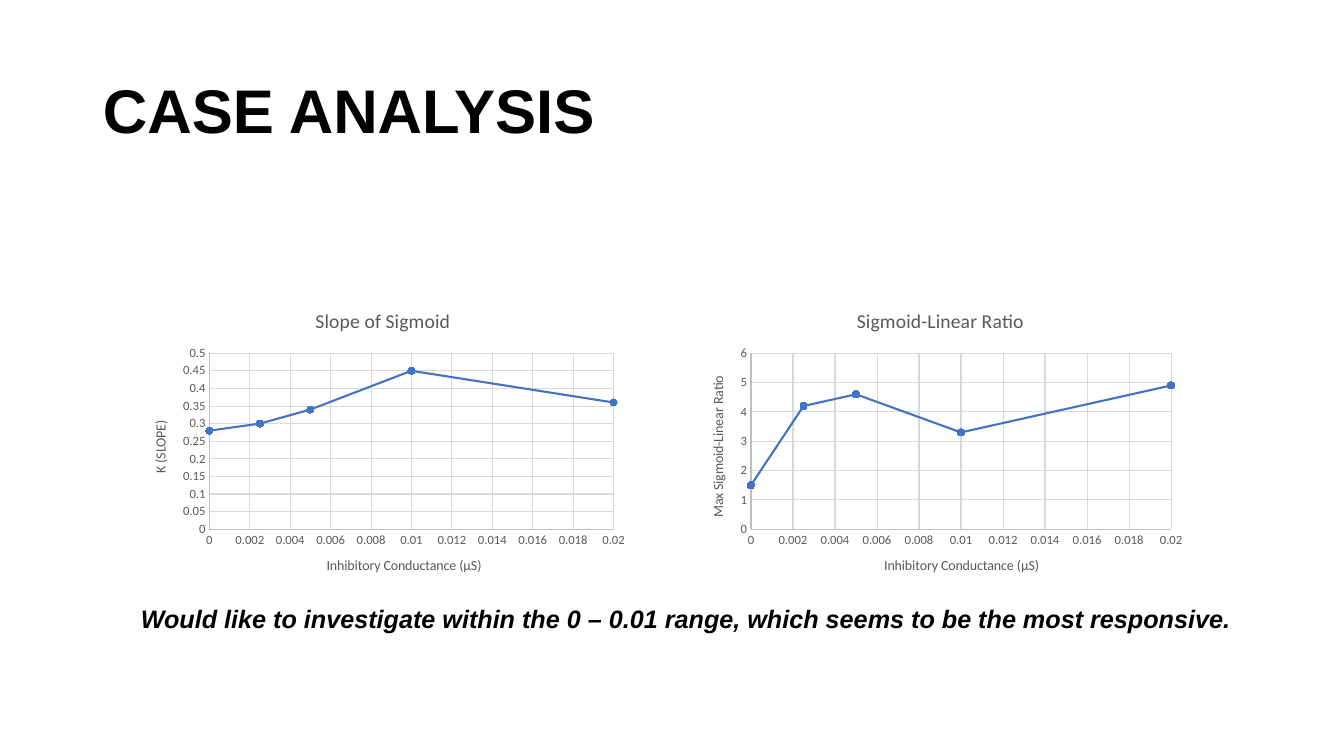
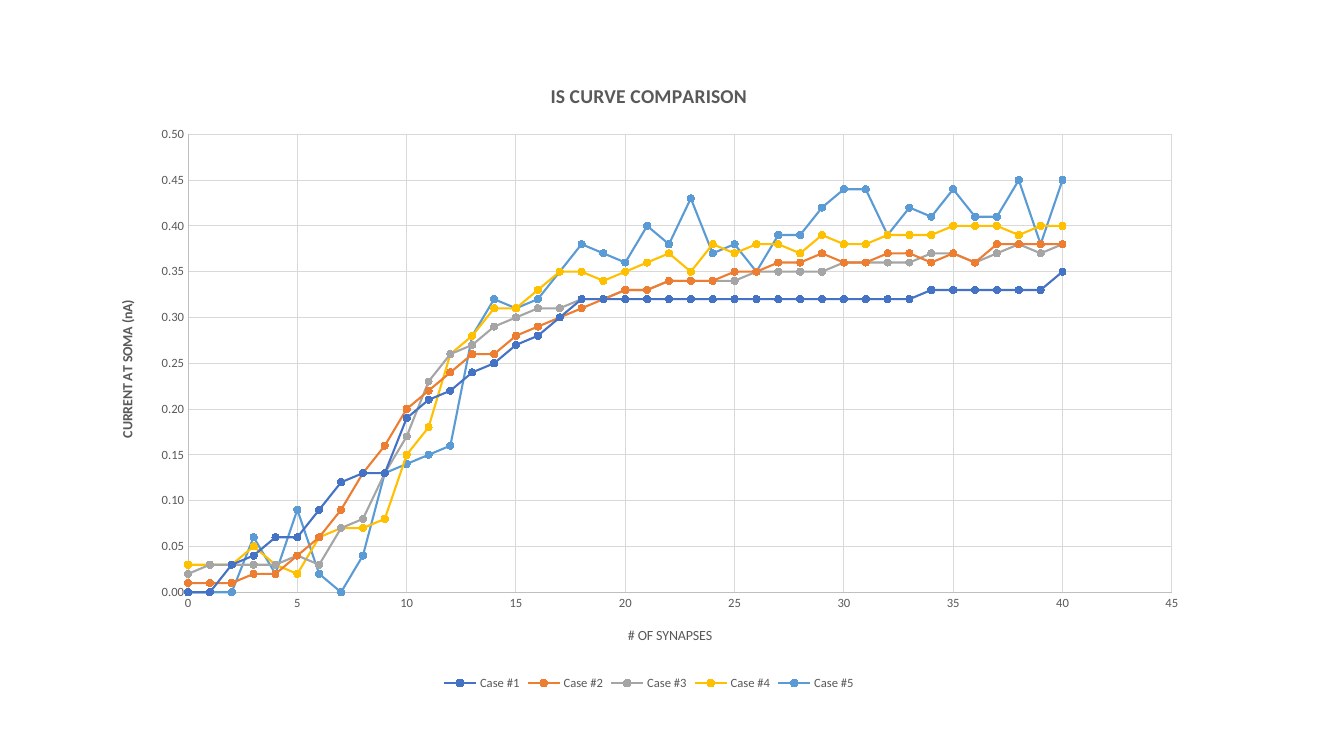
import pptx
import pptx.chart.data
import pptx.dml.color
import pptx.enum.chart
import pptx.enum.text
import pptx.util
from pptx.util import Cm

COLORS = {
    "ink": "000000",
    "label": "595959",
    "grid": "D9D9D9",
    "axis": "BFBFBF",
    "blue": "4472C4",
    "orange": "ED7D31",
    "gray": "A5A5A5",
    "yellow": "FFC000",
    "sky": "5B9BD5",
}
SERIES_COLORS = ("blue", "orange", "gray", "yellow", "sky")
TEXT_FONT, CHART_FONT = "Arial", "Calibri"
TITLE_ONLY, BLANK = 5, 6

TITLE = "CASE ANALYSIS"
CAPTION = "Would like to investigate within the 0 – 0.01 range, which seems to be the most responsive."

CONDUCTANCES = (0, 0.0025, 0.005, 0.01, 0.02)
SYNAPSES = range(41)

CONDUCTANCE_AXIS = {"title": "Inhibitory Conductance (µS)", "top": 0.02, "step": 0.002}
CASE_CHARTS = [
    {
        "title": "Slope of Sigmoid",
        "x_axis": CONDUCTANCE_AXIS,
        "y_axis": {"title": "K (SLOPE)", "top": 0.5, "step": 0.05},
        "x": CONDUCTANCES,
        "series": {"Series 1": (0.28, 0.3, 0.34, 0.45, 0.36)},
    },
    {
        "title": "Sigmoid-Linear Ratio",
        "x_axis": CONDUCTANCE_AXIS,
        "y_axis": {"title": "Max Sigmoid-Linear Ratio", "top": 6, "step": 1},
        "x": CONDUCTANCES,
        "series": {"Sigmoid-Linear Ratio": (1.5, 4.2, 4.6, 3.3, 4.9)},
    },
]
CURVE_CHART = {
    "title": "IS CURVE COMPARISON",
    "bold": True,
    "legend": True,
    "x_axis": {"title": "# OF SYNAPSES", "top": 45, "step": 5},
    "y_axis": {"title": "CURRENT AT SOMA (nA)", "bold": True, "top": 0.5, "step": 0.05,
               "number_format": "#,##0.00"},
    "x": SYNAPSES,
    "series": {
        "Case #1": (
            0, 0, 0.03, 0.04, 0.06, 0.06, 0.09, 0.12, 0.13, 0.13,
            0.19, 0.21, 0.22, 0.24, 0.25, 0.27, 0.28, 0.3, 0.32, 0.32,
            0.32, 0.32, 0.32, 0.32, 0.32, 0.32, 0.32, 0.32, 0.32, 0.32,
            0.32, 0.32, 0.32, 0.32, 0.33, 0.33, 0.33, 0.33, 0.33, 0.33, 0.35),
        "Case #2": (
            0.01, 0.01, 0.01, 0.02, 0.02, 0.04, 0.06, 0.09, 0.13, 0.16,
            0.2, 0.22, 0.24, 0.26, 0.26, 0.28, 0.29, 0.3, 0.31, 0.32,
            0.33, 0.33, 0.34, 0.34, 0.34, 0.35, 0.35, 0.36, 0.36, 0.37,
            0.36, 0.36, 0.37, 0.37, 0.36, 0.37, 0.36, 0.38, 0.38, 0.38, 0.38),
        "Case #3": (
            0.02, 0.03, 0.03, 0.03, 0.03, 0.04, 0.03, 0.07, 0.08, 0.13,
            0.17, 0.23, 0.26, 0.27, 0.29, 0.3, 0.31, 0.31, 0.32, 0.32,
            0.33, 0.33, 0.34, 0.34, 0.34, 0.34, 0.35, 0.35, 0.35, 0.35,
            0.36, 0.36, 0.36, 0.36, 0.37, 0.37, 0.36, 0.37, 0.38, 0.37, 0.38),
        "Case #4": (
            0.03, 0.03, 0.03, 0.05, 0.03, 0.02, 0.06, 0.07, 0.07, 0.08,
            0.15, 0.18, 0.26, 0.28, 0.31, 0.31, 0.33, 0.35, 0.35, 0.34,
            0.35, 0.36, 0.37, 0.35, 0.38, 0.37, 0.38, 0.38, 0.37, 0.39,
            0.38, 0.38, 0.39, 0.39, 0.39, 0.4, 0.4, 0.4, 0.39, 0.4, 0.4),
        "Case #5": (
            0, 0, 0, 0.06, 0.02, 0.09, 0.02, 0, 0.04, 0.13,
            0.14, 0.15, 0.16, 0.28, 0.32, 0.31, 0.32, 0.35, 0.38, 0.37,
            0.36, 0.4, 0.38, 0.43, 0.37, 0.38, 0.35, 0.39, 0.39, 0.42,
            0.44, 0.44, 0.39, 0.42, 0.41, 0.44, 0.41, 0.41, 0.45, 0.38, 0.45),
    },
}


def rgb(color):
    return pptx.dml.color.RGBColor.from_string(COLORS[color])


def set_font(font, size, color, name, bold=False, italic=False):
    font.size = pptx.util.Pt(size)
    font.color.rgb = rgb(color)
    font.name = name
    font.bold = bold
    font.italic = italic


def write(frame, text, size=10, color="label", name=CHART_FONT, bold=False, italic=False, spacing=None):
    """Put one left-aligned paragraph into a text frame and return it."""
    para = frame.paragraphs[0]
    span = para.add_run()
    span.text = text
    set_font(span.font, size, color, name, bold, italic)
    para.line_spacing = spacing
    return para


def draw_line(line, color, width):
    line.color.rgb = rgb(color)
    line.width = pptx.util.Pt(width)


def format_axis(axis, title, top, step, bold=False, number_format="General"):
    write(axis.axis_title.text_frame, title, bold=bold)
    axis.minimum_scale, axis.maximum_scale, axis.major_unit = 0, top, step
    axis.major_tick_mark = axis.minor_tick_mark = pptx.enum.chart.XL_TICK_MARK.NONE
    axis.has_major_gridlines = True
    draw_line(axis.major_gridlines.format.line, "grid", 0.75)
    draw_line(axis.format.line, "axis", 0.75)
    labels = axis.tick_labels
    labels.number_format = number_format
    labels.number_format_is_linked = False
    set_font(labels.font, 9, "label", CHART_FONT)


def add_scatter(page, content, left, top, width, height):
    data = pptx.chart.data.XyChartData()
    for name, values in content["series"].items():
        series = data.add_series(name)
        for x, y in zip(content["x"], values):
            series.add_data_point(x, y)
    chart = page.shapes.add_chart(
        pptx.enum.chart.XL_CHART_TYPE.XY_SCATTER_LINES, left, top, width, height, data).chart
    set_font(chart.font, 10, "ink", CHART_FONT)
    write(chart.chart_title.text_frame, content["title"], size=14, bold=content.get("bold", False))
    format_axis(chart.category_axis, **content["x_axis"])
    format_axis(chart.value_axis, **content["y_axis"])

    chart.has_legend = content.get("legend", False)
    if chart.has_legend:
        chart.legend.position = pptx.enum.chart.XL_LEGEND_POSITION.BOTTOM
        chart.legend.include_in_layout = False
        set_font(chart.legend.font, 9, "label", CHART_FONT)

    plot = chart.plots[0]
    plot.vary_by_categories = False
    for series, color in zip(plot.series, SERIES_COLORS):
        series.smooth = False
        draw_line(series.format.line, color, 1.5)
        marker = series.marker
        marker.style = pptx.enum.chart.XL_MARKER_STYLE.CIRCLE
        marker.size = 5
        marker.format.fill.solid()
        marker.format.fill.fore_color.rgb = rgb(color)
        draw_line(marker.format.line, color, 0.75)


def add_case_page(deck):
    page = deck.slides.add_slide(deck.slide_layouts[TITLE_ONLY])
    title = page.shapes.title
    title.left, title.top, title.width, title.height = Cm(2.34), Cm(1.02), Cm(18.87), Cm(3.68)
    title.text_frame.vertical_anchor = pptx.enum.text.MSO_ANCHOR.MIDDLE
    title.text_frame.auto_size = pptx.enum.text.MSO_AUTO_SIZE.NONE
    para = write(title.text_frame, TITLE, size=44, color="ink", name=TEXT_FONT, bold=True, spacing=0.9)
    para.alignment = pptx.enum.text.PP_ALIGN.LEFT

    for column, content in enumerate(CASE_CHARTS):
        add_scatter(page, content, Cm(3.3 + column * 14.05), Cm(7.37), Cm(12.7), Cm(7.62))

    caption = page.shapes.add_textbox(Cm(3.3), Cm(15.09), Cm(28.12), Cm(1.02))
    caption.text_frame.word_wrap = True
    write(caption.text_frame, CAPTION, size=18, color="ink", name=TEXT_FONT, bold=True, italic=True)


def add_curve_page(deck):
    page = deck.slides.add_slide(deck.slide_layouts[BLANK])
    add_scatter(page, CURVE_CHART, Cm(2.46), Cm(1.52), Cm(27.79), Cm(15.98))


def main():
    deck = pptx.Presentation()
    deck.slide_width, deck.slide_height = Cm(33.87), Cm(19.05)
    add_case_page(deck)
    add_curve_page(deck)
    deck.save("out.pptx")


if __name__ == "__main__":
    main()
